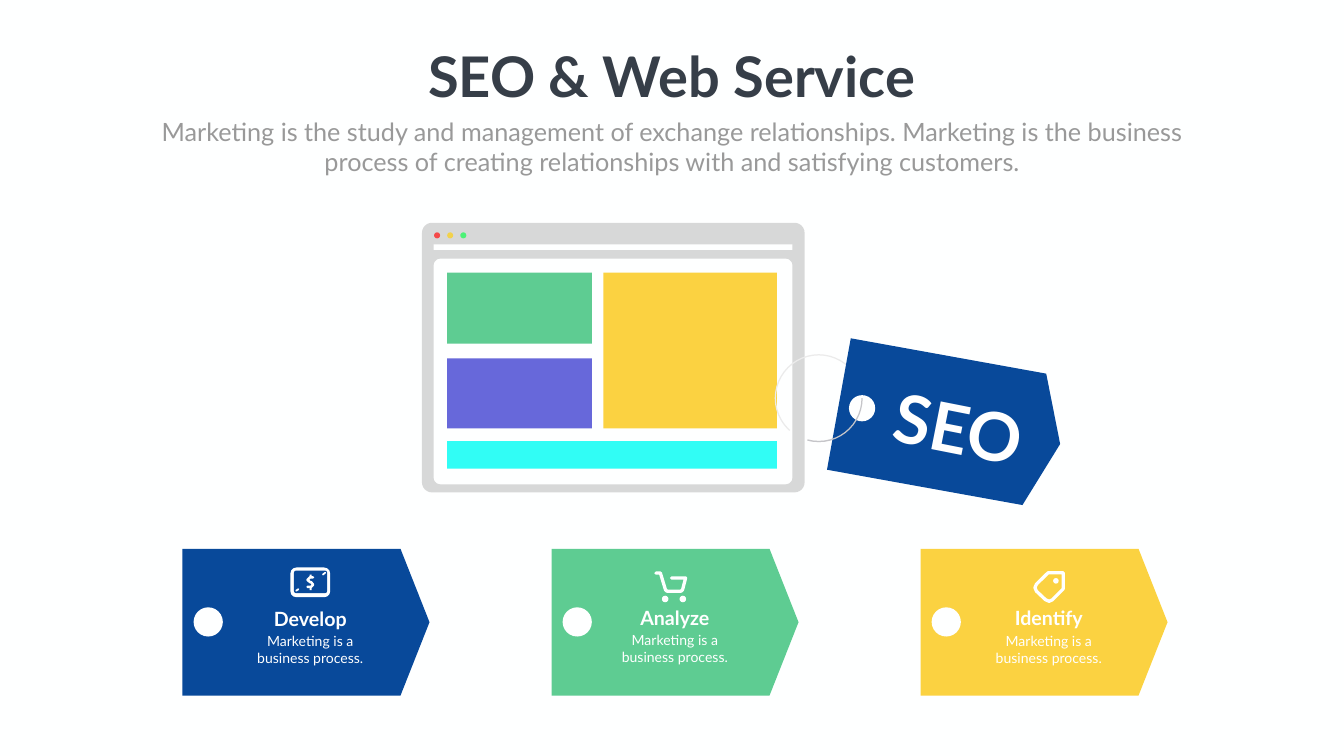
from dataclasses import dataclass

from lxml import etree
from pptx import Presentation
from pptx.dml.color import RGBColor
from pptx.enum.shapes import MSO_CONNECTOR, MSO_SHAPE
from pptx.enum.text import MSO_ANCHOR, MSO_AUTO_SIZE, PP_ALIGN
from pptx.oxml.ns import qn
from pptx.shapes.autoshape import Shape
from pptx.util import Inches, Pt

RECT = MSO_SHAPE.RECTANGLE
ROUNDED = MSO_SHAPE.ROUNDED_RECTANGLE
OVAL = MSO_SHAPE.OVAL
TAG = MSO_SHAPE.PENTAGON
ARC = MSO_SHAPE.ARC
STRAIGHT = MSO_CONNECTOR.STRAIGHT
CENTER, LEFT = PP_ALIGN.CENTER, PP_ALIGN.LEFT
TOP = MSO_ANCHOR.TOP
NO_FIT = MSO_AUTO_SIZE.NONE

WHITE = RGBColor(0xFE, 0xFF, 0xFF)
TEXT_WHITE = RGBColor(0xFF, 0xFF, 0xFF)
INK = RGBColor(0x36, 0x3E, 0x48)
GRAY = RGBColor(0x99, 0x99, 0x99)
FRAME = RGBColor(0x80, 0x80, 0x80)
BLUE = RGBColor(0x08, 0x49, 0x9A)
GREEN = RGBColor(0x5E, 0xCC, 0x92)
YELLOW = RGBColor(0xFB, 0xD2, 0x41)
PURPLE = RGBColor(0x67, 0x68, 0xDA)
CYAN = RGBColor(0x31, 0xFD, 0xF5)
BUTTON_COLORS = (
    RGBColor(0xF4, 0x4A, 0x4A),
    RGBColor(0xF2, 0xD2, 0x4C),
    RGBColor(0x4C, 0xF2, 0x77),
)
STRING_PALE = RGBColor(0xEB, 0xEB, 0xEB)
STRING_DARK = RGBColor(0xC5, 0xC5, 0xC9)

SLIDE_WIDTH, SLIDE_HEIGHT = Inches(26.66), Inches(15)
ROWS = 150
CELL = SLIDE_HEIGHT // ROWS
TAG_LEFT, TAG_TOP, TAG_PITCH = 36.2, 108.9, 73.2
ARC_UNITS_PER_DEGREE = 0.6

Point = tuple[float, float]


@dataclass(frozen=True)
class Block:
    left: float
    top: float
    width: float
    height: float
    color: RGBColor
    kind: int = RECT
    corner: float = 0
    opacity: int = 100
    rotation: float = 0


@dataclass(frozen=True)
class Stroke:
    points: tuple[Point, ...]
    width: float


@dataclass(frozen=True)
class Step:
    title: str
    color: RGBColor
    text_center: float
    title_top: float
    icon_blocks: tuple[Block, ...]
    icon_strokes: tuple[Stroke, ...]


def grid(cells: float) -> int:
    return round(cells * CELL)


def disc(left: float, top: float, size: float, color: RGBColor = WHITE) -> Block:
    return Block(left, top, size, size, color, OVAL)


BROWSER = (
    Block(83.7, 44.2, 75.9, 53.5, FRAME, ROUNDED, 2, opacity=30),
    Block(86, 51.3, 71.2, 44.8, WHITE, ROUNDED, 1.4),
    Block(86, 48.5, 71.2, 1.1, WHITE),
    *(disc(86.1 + 2.6 * i, 46.1, 1.2, color) for i, color in enumerate(BUTTON_COLORS)),
    Block(88.7, 54.1, 28.7, 14.1, GREEN),
    Block(88.7, 71.1, 28.7, 13.9, PURPLE),
    Block(119.7, 54.1, 34.4, 30.9, YELLOW),
    Block(88.7, 87.5, 65.4, 5.5, CYAN),
)
SEO_TAG = (
    Block(166.05, 70.88, 44.6, 26.5, BLUE, TAG, 5.2, rotation=10.25),
    disc(168.4, 78.4, 5.2),
)

STEPS = (
    Step("Develop", BLUE, 61.55, 119.9,
         (Block(57.6, 112.6, 7.9, 5.9, WHITE, ROUNDED, 1.2),
          Block(58.3, 113.2, 6.6, 4.5, BLUE, ROUNDED, 0.5),
          Block(61.4, 114, 0.4, 0.6, WHITE),
          Block(61.4, 116.5, 0.4, 0.6, WHITE)),
         (Stroke(((62.1, 114.55), (61.5, 114.55), (61, 115.05), (61.5, 115.5),
                  (61.7, 115.5), (62.1, 116), (61.7, 116.45), (61, 116.45)), 0.5),
          Stroke(((64.05, 114), (64.5, 113.65)), 0.35),
          Stroke(((58.75, 117.2), (59.2, 116.9)), 0.35))),
    Step("Analyze", GREEN, 133.87, 119.7,
         (disc(131.3, 118.2, 1.3), disc(134.8, 118.2, 1.3)),
         (Stroke(((130.1, 113.7), (131, 113.7), (132, 117), (132.3, 117.3),
                  (135.1, 117.3), (135.4, 117), (136, 114.7), (133.2, 114.7)), 0.65),)),
    Step("Identify", YELLOW, 208.05, 119.8,
         (disc(208.9, 114.7, 1.1),),
         (Stroke(((207.9, 113.65), (210.9, 113.65), (210.9, 116.85), (208.7, 119.05),
                  (208.1, 119.3), (207.4, 119), (205.6, 117.3), (205.3, 116.6),
                  (205.6, 115.9), (207.9, 113.65)), 0.65),)),
)


def draw_block(shapes, block: Block) -> None:
    shape = shapes.add_shape(block.kind, grid(block.left), grid(block.top),
                             grid(block.width), grid(block.height))
    shape.shadow.inherit = False
    shape.fill.solid()
    shape.fill.fore_color.rgb = block.color
    shape.line.fill.background()
    shape.rotation = block.rotation
    if block.corner:
        shape.adjustments[0] = block.corner / min(block.width, block.height)
    if block.opacity < 100:
        color = shape.fill._xPr.find(qn("a:solidFill"))[0]
        etree.SubElement(color, qn("a:alpha"), val=str(block.opacity * 1000))


def draw_stroke(shapes, stroke: Stroke, color: RGBColor) -> None:
    start, *rest = [(grid(x), grid(y)) for x, y in stroke.points]
    if len(rest) == 1:
        mark = shapes.add_connector(STRAIGHT, *start, *rest[0])
        etree.SubElement(mark._element.spPr, qn("a:effectLst"))
    else:
        builder = shapes.build_freeform(*start)
        builder.add_line_segments(rest, close=rest[-1] == start)
        mark = builder.convert_to_shape()
        mark.shadow.inherit = False
        mark.fill.background()
    mark.line.color.rgb = color
    mark.line.width = grid(stroke.width)
    mark._element.spPr.find(qn("a:ln")).set("cap", "rnd")


def draw_string(shapes, start: float, end: float, color: RGBColor) -> None:
    arc = shapes.add_shape(ARC, grid(153.8), grid(70.4), grid(17.2), grid(17.2))
    arc.shadow.inherit = False
    arc.fill.background()
    arc.line.color.rgb = color
    arc.line.width = Pt(1.79)
    arc.adjustments[0] = start * ARC_UNITS_PER_DEGREE
    arc.adjustments[1] = end * ARC_UNITS_PER_DEGREE


def write(box: Shape, text: str, *, size: float, color: RGBColor, bold: bool = False,
          align: int = CENTER, wrap: bool = False) -> None:
    frame = box.text_frame
    frame.text = text
    frame.word_wrap = wrap
    frame.auto_size = NO_FIT
    frame.vertical_anchor = TOP
    for paragraph in frame.paragraphs:
        paragraph.alignment = align
        paragraph.line_spacing = 1.0
        paragraph.font.name = "Lato"
        paragraph.font.size = Pt(size)
        paragraph.font.bold = bold
        paragraph.font.color.rgb = color


def add_text_box(shapes, left: float, top: float, width: float, height: float) -> Shape:
    return shapes.add_textbox(grid(left), grid(top), grid(width), grid(height))


def draw_step(shapes, step: Step, left: float) -> None:
    draw_block(shapes, Block(left, TAG_TOP, 49, 29.1, step.color, TAG, 5.75))
    draw_block(shapes, disc(left + 2.2, TAG_TOP + 11.6, 5.8))
    for block in step.icon_blocks:
        draw_block(shapes, block)
    for stroke in step.icon_strokes:
        draw_stroke(shapes, stroke, WHITE)
    text_left = step.text_center - 11.85
    write(add_text_box(shapes, text_left, step.title_top, 23.7, 5.7), step.title,
          size=28, color=TEXT_WHITE, bold=True)
    write(add_text_box(shapes, text_left, step.title_top + 5.2, 23.7, 7.7),
          "Marketing is a\nbusiness process.", size=20, color=TEXT_WHITE)


def main() -> None:
    presentation = Presentation()
    presentation.slide_width, presentation.slide_height = SLIDE_WIDTH, SLIDE_HEIGHT
    slide = presentation.slides.add_slide(presentation.slide_layouts[5])
    slide.background.fill.solid()
    slide.background.fill.fore_color.rgb = WHITE
    shapes = slide.shapes

    title = shapes.title
    title.left, title.top, title.width, title.height = map(grid, (82.8, 7.7, 100.9, 14.5))
    write(title, "SEO & Web Service", size=80, color=INK, bold=True)
    write(add_text_box(shapes, 29.2, 22.6, 208.2, 13.1),
          "Marketing is the study and management of exchange relationships. "
          "Marketing is the business process of creating relationships with "
          "and satisfying customers.", size=36, color=GRAY, wrap=True)

    for block in BROWSER:
        draw_block(shapes, block)
    draw_string(shapes, 132, 105, STRING_PALE)
    for block in SEO_TAG:
        draw_block(shapes, block)
    draw_string(shapes, 0, 105, STRING_DARK)
    seo_label = add_text_box(shapes, 176.4, 76.3, 28.1, 17.2)
    write(seo_label, "SEO", size=96, color=TEXT_WHITE, bold=True, align=LEFT)
    seo_label.rotation = 11.2

    for index, step in enumerate(STEPS):
        draw_step(shapes, step, TAG_LEFT + index * TAG_PITCH)

    presentation.save("out.pptx")


if __name__ == "__main__":
    main()
